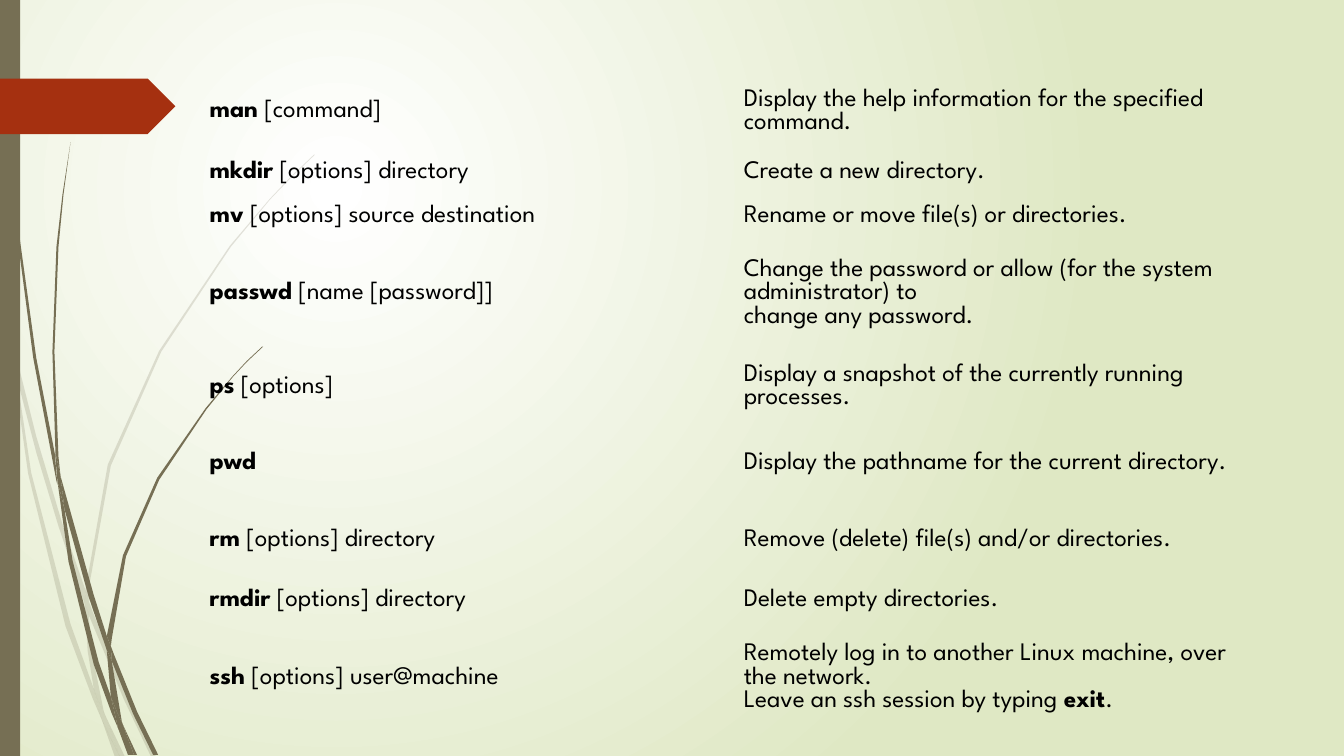
from pptx import Presentation
from pptx.dml.color import RGBColor
from pptx.enum.shapes import MSO_SHAPE
from pptx.enum.text import MSO_ANCHOR
from pptx.oxml.ns import qn
from pptx.util import Cm, Pt
from lxml.etree import SubElement

COLORS = {"white": "FFFFFF", "pale": "DFE8C4", "olive": "766F54",
          "rust": "A53010", "text": "000000"}
FONT = "League Spartan"
NO_GRID = "{2D5ABB26-0587-4C30-8999-92F81FD0307C}"
GRASS_UNIT = Cm(0.0254)

FAINT_BLADES = [
    [(11, 350), (9, 322), (0, 282), (0, 299), (10, 344)],
    [(58, 522), (84, 599), (85, 586), (62, 520), (36, 433), (14, 345),
     (17, 376), (36, 449)],
    [(92, 607), (88, 596), (88, 610), (123, 694), (150, 751), (155, 751),
     (127, 692)],
    [(119, 751), (124, 751), (105, 711)],
    [(93, 683), (70, 619), (31, 469), (17, 376), (11, 350), (28, 470),
     (65, 621), (92, 693), (101, 714), (99, 707)],
    [(84, 599), (87, 646), (93, 683), (96, 692), (105, 711), (103, 706),
     (91, 646), (88, 610), (88, 608)],
    [(88, 584), (110, 462), (160, 349), (229, 245), (268, 198), (290, 175),
     (312, 154), (312, 153), (289, 175), (268, 197), (228, 244), (158, 348),
     (107, 461), (85, 584), (85, 586), (88, 596)],
    [(101, 714), (114, 751), (119, 751)],
    [(88, 608), (88, 610), (88, 596), (85, 586), (84, 599)],
    [(96, 692), (93, 683), (99, 707), (101, 714), (119, 751), (105, 711)],
]
SOLID_BLADES = [
    [(7, 110), (17, 233), (33, 355), (56, 477), (57, 481), (55, 457),
     (55, 453), (36, 355), (19, 232), (8, 109), (5, 48), (4, 0), (3, 0),
     (4, 48)],
    [(88, 592), (106, 645), (106, 633), (106, 631), (93, 590), (60, 472),
     (64, 505)],
    [(113, 649), (110, 641), (111, 656), (132, 708), (152, 749), (157, 749),
     (136, 706)],
    [(110, 691), (98, 657), (72, 556), (64, 505), (57, 477), (68, 557),
     (93, 659), (111, 708), (117, 722), (116, 717)],
    [(60, 472), (58, 453), (54, 349), (58, 245), (63, 193), (70, 141),
     (62, 193), (56, 245), (52, 349), (55, 449)],
    [(133, 749), (136, 749), (122, 719)],
    [(57, 477), (64, 505), (60, 472), (55, 449), (55, 453)],
    [(111, 633), (125, 552), (158, 476), (205, 406), (231, 374), (245, 359),
     (261, 344), (260, 344), (245, 358), (231, 373), (204, 405), (156, 474),
     (122, 551), (106, 631), (110, 641)],
    [(117, 722), (127, 749), (131, 749)],
    [(106, 645), (110, 691), (116, 706), (122, 719), (121, 716), (111, 656),
     (109, 651)],
    [(106, 645), (109, 651), (111, 656), (110, 641), (106, 631), (106, 633)],
    [(116, 706), (110, 691), (116, 717), (117, 722), (130, 749), (133, 749),
     (122, 719)],
]
COMMANDS = [
    (1.93, "man", " [command]",
     ["Display the help information for the specified command."]),
    (1.12, "mkdir", " [options] directory", ["Create a new directory."]),
    (1.12, "mv", " [options] source destination",
     ["Rename or move file(s) or directories."]),
    (2.77, "passwd", " [name [password]]",
     ["Change the password or allow (for the system administrator) to",
      "change any password."]),
    (1.93, "ps", " [options]",
     ["Display a snapshot of the currently running processes."]),
    (1.93, "pwd", "", ["Display the pathname for the current directory."]),
    (1.93, "rm", " [options] directory",
     ["Remove (delete) file(s) and/or directories."]),
    (1.12, "rmdir", " [options] directory", ["Delete empty directories."]),
    (2.77, "ssh", " [options] user@machine",
     ["Remotely log in to another Linux machine, over the network.",
      "Leave an ssh session by typing **exit**."]),
]


def rgb(name):
    return RGBColor.from_string(COLORS[name])


def paint(shape, color, alpha=None):
    shape.shadow.inherit = False
    shape.fill.solid()
    shape.fill.fore_color.rgb = rgb(color)
    shape.line.fill.background()
    if alpha:
        clr = shape.element.spPr.find(".//" + qn("a:srgbClr"))
        SubElement(clr, qn("a:alpha"), val=str(alpha * 1000))


def add_background(s):
    fill = s.background.fill
    fill.gradient()
    for stop, color in zip(fill.gradient_stops, ("white", "pale")):
        stop.color.rgb = rgb(color)
    grad = s.element.find(".//" + qn("a:gradFill"))
    grad.remove(grad.find(qn("a:lin")))
    circle = SubElement(grad, qn("a:path"), path="circle")
    SubElement(circle, qn("a:fillToRect"),
               l="50000", t="50000", r="100000", b="100000")


def add_grass(s, left, top, blades, alpha=None):
    for start, *rest in blades:
        builder = s.shapes.build_freeform(*start, scale=GRASS_UNIT)
        builder.add_line_segments(rest)
        paint(builder.convert_to_shape(left, top), "olive", alpha)


def add_side_band(s, left, top, width, height):
    bar = s.shapes.add_shape(MSO_SHAPE.RECTANGLE, left, top, width, height)
    paint(bar, "olive")
    tag = s.shapes.add_shape(MSO_SHAPE.PENTAGON, left, top + Cm(1.98),
                             Cm(4.42), Cm(1.4))
    paint(tag, "rust")


def add_run(p, text, bold=False):
    r = p.add_run()
    r.text = text
    r.font.name, r.font.size, r.font.bold = FONT, Pt(18), bold
    r.font.color.rgb = rgb("text")


def fill_cell(cell, lines):
    cell.fill.background()
    cell.vertical_anchor = MSO_ANCHOR.MIDDLE
    p = cell.text_frame.paragraphs[0]
    for i, line in enumerate(lines):
        if i:
            p.add_line_break()
        for j, part in enumerate(line.split("**")):
            if part:
                add_run(p, part, bold=j % 2 == 1)


def add_command_table(s, left, top, width, height):
    frame = s.shapes.add_table(len(COMMANDS), 2, left, top, width, height)
    table = frame.table
    table.first_row = table.horz_banding = False
    frame.element.find(".//" + qn("a:tableStyleId")).text = NO_GRID
    for row, (row_height, name, args, lines) in zip(table.rows, COMMANDS):
        row.height = Cm(row_height)
        fill_cell(row.cells[0], [f"**{name}**{args}"])
        fill_cell(row.cells[1], lines)


def build_command_slide(prs):
    s = prs.slides.add_slide(prs.slide_layouts[6])
    add_background(s)
    add_grass(s, 0, 0, FAINT_BLADES, alpha=20)
    add_grass(s, 0, 0, SOLID_BLADES)
    add_side_band(s, 0, 0, Cm(0.51), prs.slide_height)
    add_command_table(s, Cm(5.03), Cm(1.85), Cm(26.92), Cm(16.62))


prs = Presentation()
prs.slide_width, prs.slide_height = Cm(33.87), Cm(19.05)
build_command_slide(prs)
prs.save("out.pptx")
